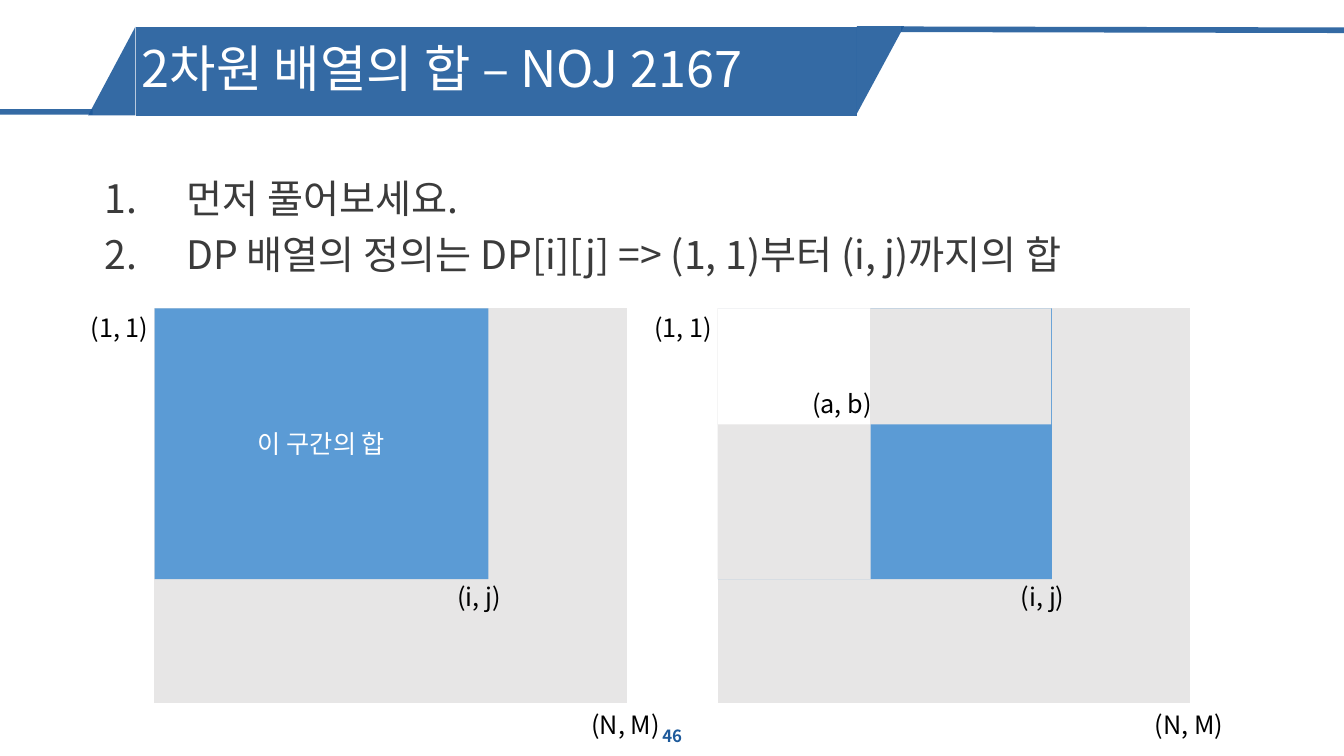
from lxml import etree
from pptx import Presentation
from pptx import util as u
from pptx.dml.color import RGBColor
from pptx.enum import shapes, text
from pptx.oxml.ns import qn

Pt = u.Pt
FONT = "Noto Sans CJK KR"
NAVY = RGBColor(0x1E, 0x5A, 0x9B)
BLUE = RGBColor(0x5B, 0x9B, 0xD5)
GRAY = RGBColor(0xE7, 0xE6, 0xE6)
DARK = RGBColor(0x3B, 0x3B, 0x3B)
WHITE = RGBColor(0xFF, 0xFF, 0xFF)
BLACK = RGBColor(0, 0, 0)
RECT = shapes.MSO_SHAPE.RECTANGLE
TRIANGLE = shapes.MSO_SHAPE.RIGHT_TRIANGLE
CENTER = text.PP_ALIGN.CENTER
MIDDLE = text.MSO_ANCHOR.MIDDLE
PANEL_STEP = 402.5


def set_alpha(sp, percent):
    for color in sp._element.spPr.iter(qn("a:srgbClr")):
        etree.SubElement(color, qn("a:alpha"), val=str(percent * 1000))


def add_run(p, content, size, color, bold=False):
    r = p.add_run()
    r.text = content
    r.font.name = FONT
    r.font.size = Pt(size)
    r.font.bold = bold
    r.font.color.rgb = color
    etree.SubElement(r._r.get_or_add_rPr(), qn("a:ea"), typeface=FONT)


def add_block(slide, box, color, kind=RECT, border=None, rotation=0):
    sp = slide.shapes.add_shape(kind, *map(Pt, box))
    sp.shadow.inherit = False
    sp.rotation = rotation
    sp.fill.solid()
    sp.fill.fore_color.rgb = color
    if border is None:
        sp.line.fill.background()
    else:
        sp.line.color.rgb = border
        sp.line.width = Pt(1.5)
    return sp


def add_rule(slide, x1, y1, x2, y2):
    sp = slide.shapes.add_connector(
        shapes.MSO_CONNECTOR.STRAIGHT, Pt(x1), Pt(y1), Pt(x2), Pt(y2))
    sp.line.color.rgb = NAVY
    sp.line.width = Pt(4)
    set_alpha(sp, 90)
    etree.SubElement(sp._element.spPr, qn("a:effectLst"))


def add_text(slide, box, wrap=True, anchor=text.MSO_ANCHOR.TOP):
    tf = slide.shapes.add_textbox(*map(Pt, box)).text_frame
    tf.word_wrap = wrap
    tf.vertical_anchor = anchor
    return tf


def add_label(slide, x, y, width, content):
    tf = add_text(slide, (x, y, width, 29), wrap=False)
    add_run(tf.paragraphs[0], content, 18, BLACK)


def space_body(p):
    p.line_spacing = 0.9
    p.space_before = Pt(10)


def add_title(slide, content):
    banner = [
        add_block(slide, (597.6, 33.1, 62.6, 33.8), NAVY, TRIANGLE, rotation=90),
        add_block(slide, (48.2, 33.8, 63.4, 33.8), NAVY, TRIANGLE, rotation=270),
        add_block(slide, (97.2, 19.4, 514.8, 63.4), NAVY),
    ]
    for sp in banner:
        set_alpha(sp, 90)
    add_rule(slide, 66.2, 79.9, -2.2, 79.9)
    add_rule(slide, 960, 21.6, 643.7, 20.9)
    p = add_text(slide, (94.3, 21.6, 514.8, 58.3), anchor=MIDDLE).paragraphs[0]
    space_body(p)
    add_run(p, content, 36, WHITE)


def add_steps(slide, steps):
    tf = add_text(slide, (67.7, 124.6, 825.1, 90))
    for i, step in enumerate(steps):
        p = tf.add_paragraph() if i else tf.paragraphs[0]
        space_body(p)
        pPr = p._p.get_or_add_pPr()
        indent = Pt(58.3)
        pPr.set("marL", str(indent))
        pPr.set("indent", str(-indent))
        etree.SubElement(pPr, qn("a:buFont"), typeface="+mj-lt")
        etree.SubElement(pPr, qn("a:buAutoNum"), type="arabicPeriod")
        add_run(p, step, 28, DARK)


def add_panel(slide, dx):
    add_block(slide, (109.4 + dx, 219.6, 339.1, 283.7), GRAY, border=WHITE)
    area = add_block(slide, (110.5 + dx, 220.3, 238.3, 193.3), BLUE)
    add_label(slide, 415.4 + dx, 503.3, 66.2, "(N, M)")
    add_label(slide, 57.6 + dx, 219.6, 56.9, "(1, 1)")
    add_label(slide, 319.7 + dx, 411.8, 47.5, "(i, j)")
    return area


def main():
    prs = Presentation()
    prs.slide_width, prs.slide_height = Pt(960), Pt(540)
    slide = prs.slides.add_slide(prs.slide_layouts[6])

    add_title(slide, "2차원 배열의 합 – NOJ 2167")
    p = add_text(slide, (372.2, 511.2, 216, 28.8), anchor=MIDDLE).paragraphs[0]
    p.alignment = CENTER
    add_run(p, "46", 12, NAVY, bold=True)
    add_steps(slide, ["먼저 풀어보세요.",
                      "DP 배열의 정의는 DP[i][j] => (1, 1)부터 (i, j)까지의 합"])

    tf = add_panel(slide, 0).text_frame
    tf.vertical_anchor = MIDDLE
    p = tf.paragraphs[0]
    p.alignment = CENTER
    add_run(p, "이 구간의 합", 18, WHITE)

    add_panel(slide, PANEL_STEP)
    left, top = 512.6, 220.3
    for width, height, color in ((238.3, 82.8, GRAY),
                                 (109.4, 193.3, GRAY),
                                 (108.7, 82.8, WHITE)):
        add_block(slide, (left, top, width, height), color)
    add_label(slide, 573.1, 273.6, 58.3, "(a, b)")

    prs.save("out.pptx")


if __name__ == "__main__":
    main()
